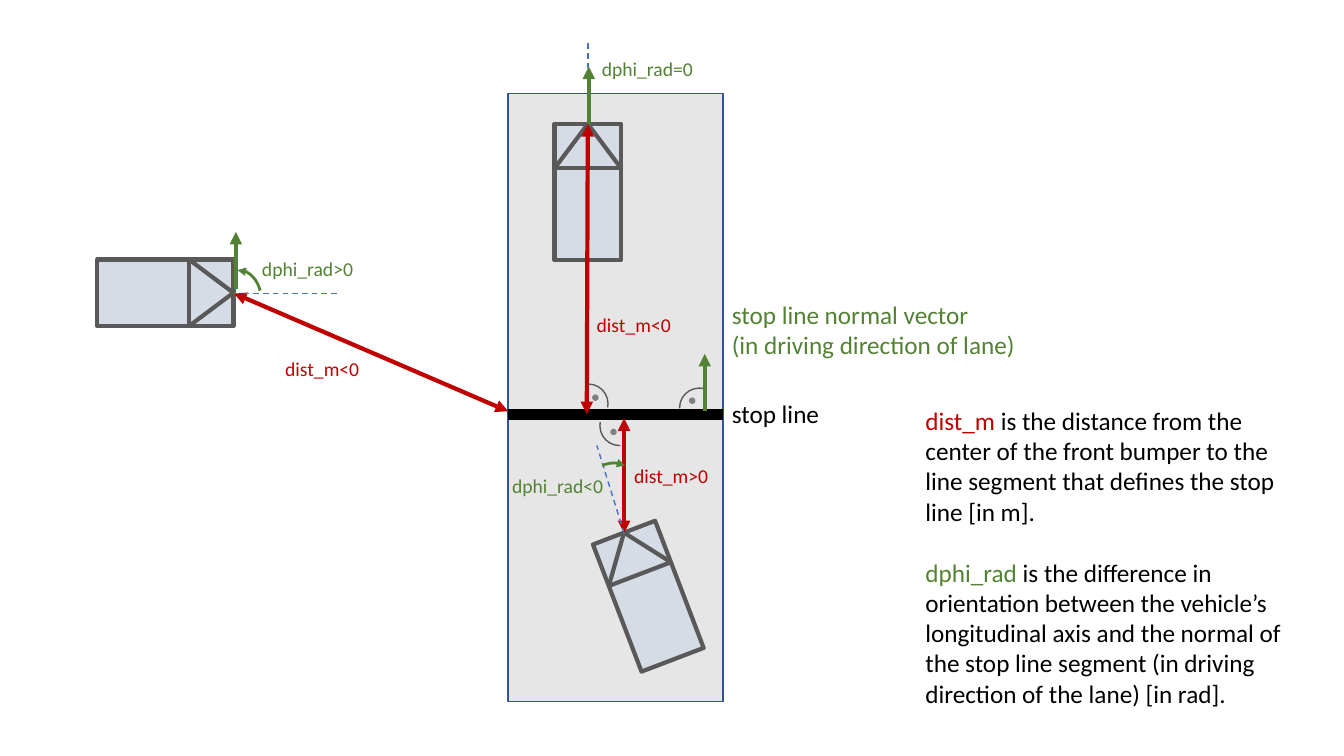
import math

from lxml import etree
from pptx import Presentation
from pptx import util as u
from pptx.dml.color import RGBColor
from pptx.enum import dml, shapes, text
from pptx.oxml import ns

BLACK, RED, GREEN, BLUE = "000000", "C00000", "548235", "4472C4"
DARK, GREY = "595959", "808080"
LANE_FILL, LANE_EDGE, VEHICLE_FILL = "E7E6E6", "325491", "D6DCE5"


def colour(value):
    return RGBColor.from_string(value)


def apply(target, values):
    for name, value in values.items():
        setattr(target, name, value)


class Diagram:
    font = "Calibri"
    label_size, body_size = 14, 18
    arc, oval, rectangle = (
        shapes.MSO_SHAPE.ARC, shapes.MSO_SHAPE.OVAL, shapes.MSO_SHAPE.RECTANGLE)

    def __init__(self, slide):
        self.slide = slide

    def outline(self, shape, line_colour, width, dashed=False, head=False, tail=False):
        shape.line.color.rgb = colour(line_colour)
        shape.line.width = u.Pt(width)
        if dashed:
            shape.line.dash_style = dml.MSO_LINE.DASH
        line_element = shape.element.spPr.find(ns.qn("a:ln"))
        for tag, wanted in (("a:headEnd", head), ("a:tailEnd", tail)):
            if wanted:
                etree.SubElement(line_element, ns.qn(tag), type="triangle")

    def line(self, start, end, line_colour, width=3, parent=None, **ends):
        points = [u.Inches(value) for value in (*start, *end)]
        connector = (parent or self.slide).shapes.add_connector(
            shapes.MSO_CONNECTOR.STRAIGHT, *points)
        self.outline(connector, line_colour, width, **ends)
        etree.SubElement(connector.element.spPr, ns.qn("a:effectLst"))

    def shape(self, kind, box, line_colour, width, fill=None, rotation=0,
              angles=(), parent=None, **ends):
        shape = (parent or self.slide).shapes.add_shape(
            kind, *[u.Inches(value) for value in box])
        shape.shadow.inherit = False
        shape.rotation = rotation
        for index, angle in enumerate(angles):
            shape.adjustments[index] = angle * 0.6
        if fill:
            shape.fill.solid()
            shape.fill.fore_color.rgb = colour(fill)
        else:
            shape.fill.background()
        self.outline(shape, line_colour, width, **ends)

    def text(self, box, paragraphs, size, wrap=False, gap=0):
        shape = self.slide.shapes.add_textbox(*[u.Inches(value) for value in box])
        frame = shape.text_frame
        apply(frame, {"word_wrap": wrap,
                      "auto_size": text.MSO_AUTO_SIZE.SHAPE_TO_FIT_TEXT})
        for index, runs in enumerate(paragraphs):
            paragraph = frame.add_paragraph() if index else frame.paragraphs[0]
            if index:
                paragraph.space_before = u.Pt(gap)
            for words, run_colour in runs:
                for row, words_in_row in enumerate(words.split("\n")):
                    if row:
                        paragraph.add_line_break()
                    run = paragraph.add_run()
                    run.text = words_in_row
                    apply(run.font, {"name": self.font, "size": u.Pt(size)})
                    run.font.color.rgb = colour(run_colour)

    def label(self, left, top, width, words, text_colour, size=label_size):
        height = 0.34 if size == self.label_size else 0.4
        self.text((left, top, width, height), [[(words, text_colour)]], size)

    def vehicle(self, centre_x, centre_y, rotation):
        width, length, cab = 0.66, 1.35, 0.44
        group = self.slide.shapes.add_group_shape()
        box = (centre_x - width / 2, centre_y - length / 2, width, length)
        self.shape(self.rectangle, box, DARK, 3, VEHICLE_FILL, rotation, parent=group)
        cosine, sine = math.cos(math.radians(rotation)), math.sin(math.radians(rotation))

        def turned(x, y):
            return (centre_x + x * cosine - y * sine, centre_y + x * sine + y * cosine)

        bumper = turned(0, -length / 2)
        left, right = [turned(side * width / 2, cab - length / 2) for side in (-1, 1)]
        for start, end in ((left, right), (bumper, right), (left, bumper)):
            self.line(start, end, DARK, parent=group)

    def right_angle(self, arc_corner, dot_corner, rotation):
        group = self.slide.shapes.add_group_shape()
        self.shape(self.arc, (*arc_corner, 0.39, 0.39), DARK, 1, rotation=rotation,
                   angles=(267.89, 10.92), parent=group)
        self.shape(self.oval, (*dot_corner, 0.05, 0.05), GREY, 1, GREY, rotation,
                   parent=group)

    def normal(self, x, y):
        self.line((x, y), (x, y - 0.57), GREEN, tail=True)


def main():
    presentation = Presentation()
    apply(presentation, {"slide_width": u.Inches(13.33), "slide_height": u.Inches(7.5)})
    diagram = Diagram(presentation.slides.add_slide(presentation.slide_layouts[6]))

    diagram.shape(diagram.rectangle, (5.04, 0.93, 2.13, 6.03), LANE_EDGE, 1, LANE_FILL)
    diagram.line((5.04, 4.11), (7.17, 4.11), BLACK, 8)
    for placement in ((6.43, 5.915, 339.1), (1.64, 2.905, 90), (5.83, 1.905, 0)):
        diagram.vehicle(*placement)

    for start, end in (((6.19, 5.29), (6.19, 4.15)), ((5.82, 4.11), (5.83, 1.23)),
                       ((2.32, 2.91), (5.04, 4.08))):
        diagram.line(start, end, RED, head=True, tail=True)
    for left, top, words in ((6.19, 4.55, "dist_m>0"), (5.82, 3.06, "dist_m<0"),
                             (2.73, 3.49, "dist_m<0")):
        diagram.label(left, top, 0.94, words, RED)

    diagram.label(7.16, 3.9, 1.1, "stop line", BLACK, diagram.body_size)
    diagram.normal(6.99, 4.08)
    for start, end in (((6.19, 5.29), (5.92, 4.42)), ((3.34, 2.91), (2.32, 2.91)),
                       ((5.83, 0.43), (5.83, 1.23))):
        diagram.line(start, end, BLUE, 1, dashed=True)
    diagram.label(7.16, 2.92, 3.05,
                  "stop line normal vector\n(in driving direction of lane)",
                  GREEN, diagram.body_size)

    diagram.shape(diagram.arc, (5.83, 4.59, 0.54, 0.57), GREEN, 2, rotation=334.1,
                  angles=(270, 317.51), tail=True)
    for left, top, words in ((4.98, 4.65, "dphi_rad<0"), (5.87, 0.52, "dphi_rad=0"),
                             (2.5, 2.5, "dphi_rad>0")):
        diagram.label(left, top, 1.12, words, GREEN)
    diagram.shape(diagram.arc, (2.15, 2.68, 0.44, 0.56), GREEN, 2, rotation=357.2,
                  angles=(270, 342.9), head=True)

    for arc_corner, dot_corner, rotation in (
            ((5.64, 3.81), (5.88, 3.92), 0), ((6.74, 3.85), (6.84, 3.95), 270),
            ((5.95, 4.03), (6.06, 4.26), 180)):
        diagram.right_angle(arc_corner, dot_corner, rotation)
    diagram.normal(2.34, 2.87)
    diagram.normal(5.84, 1.23)

    diagram.text((9.08, 3.97, 3.97, 3.43), [
        [("dist_m ", RED),
         ("is the distance from the center of the front bumper to the line segment "
          "that defines the stop line [in m].", BLACK)],
        [("dphi_rad ", GREEN),
         ("is the difference in orientation between the vehicle’s longitudinal axis "
          "and the normal of the stop line segment (in driving direction of the lane) "
          "[in rad].", BLACK)],
    ], diagram.body_size, wrap=True, gap=22)

    presentation.save("out.pptx")


if __name__ == "__main__":
    main()
